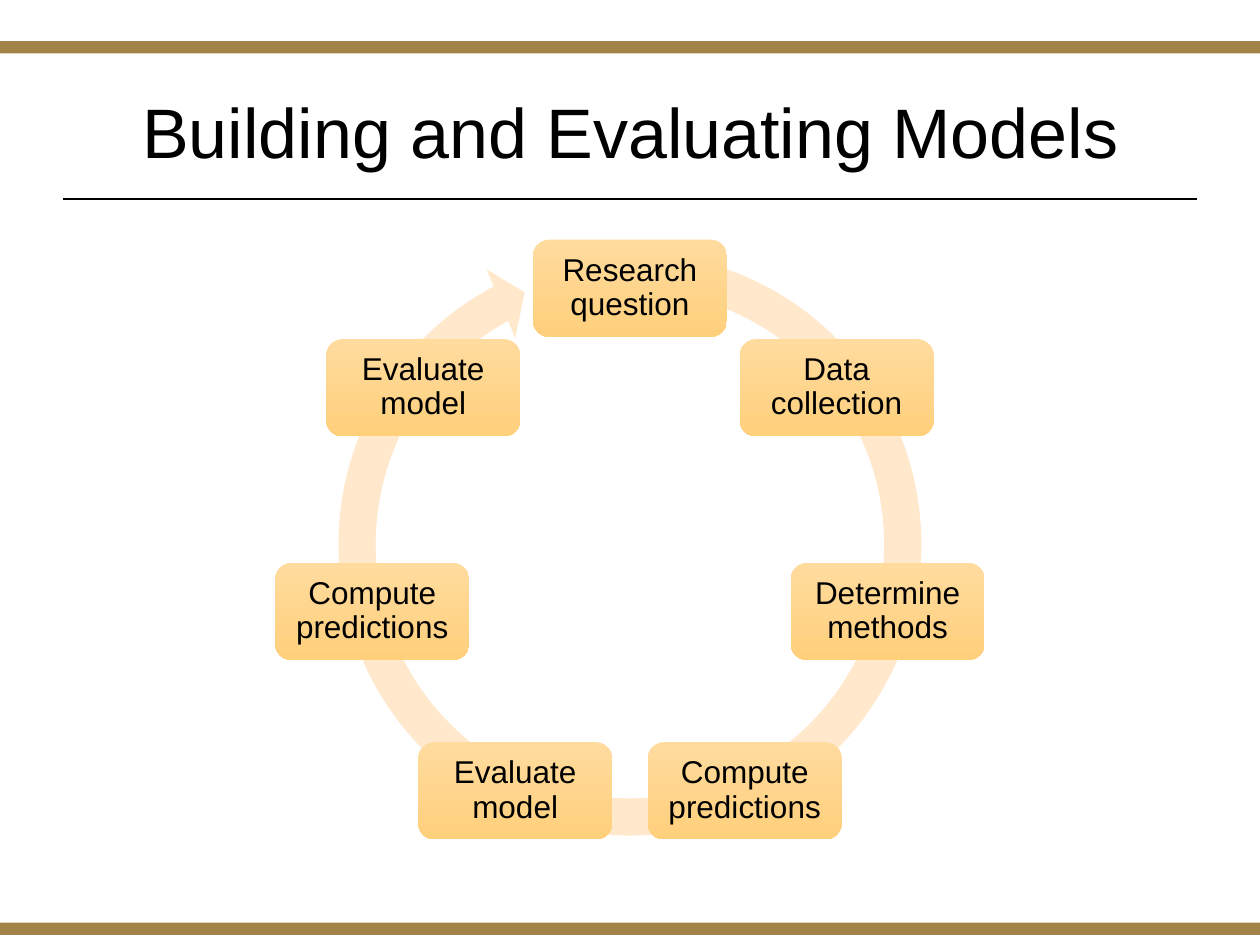
import math
from pptx import Presentation
from pptx import util as u
from pptx.dml.color import RGBColor
from pptx.enum import shapes, text
from pptx.oxml.ns import qn
from lxml import etree

WIDTH, HEIGHT = 25.4, 19.05
CENTER_X, CENTER_Y, RADIUS = 12.7, 11.14, 5.33
STEP_WIDTH, STEP_HEIGHT = 3.91, 1.96
STEPS = [
    "Research question",
    "Data collection",
    "Determine methods",
    "Compute predictions",
    "Evaluate model",
    "Compute predictions",
    "Evaluate model",
]


def color(value):
    return RGBColor.from_string(value)


class SlideBuilder:
    font = "Arial"
    ink = "000000"
    gold = "A28448"
    ring = "FFE8CC"
    step_colors = ("FFDB9E", "FFD07C")

    def __init__(self, page):
        self.page = page

    def shape(self, kind, left, top, width, height):
        box = self.page.shapes.add_shape(
            kind, u.Cm(left), u.Cm(top), u.Cm(width), u.Cm(height))
        box.shadow.inherit = False
        box.line.fill.background()
        return box

    def fill(self, box, value):
        box.fill.solid()
        box.fill.fore_color.rgb = color(value)

    def label(self, box, words, size, inset, space_after=0):
        frame = box.text_frame
        frame.word_wrap = True
        frame.vertical_anchor = text.MSO_ANCHOR.MIDDLE
        frame.margin_left = frame.margin_right = u.Cm(inset)
        frame.margin_top = frame.margin_bottom = u.Cm(inset)
        para = frame.paragraphs[0]
        para.text = words
        para.alignment = text.PP_ALIGN.CENTER
        para.line_spacing = 0.9
        para.space_after = u.Pt(space_after)
        para.font.name = self.font
        para.font.size = u.Pt(size)
        para.font.color.rgb = color(self.ink)

    def bar(self, top):
        box = self.shape(shapes.MSO_SHAPE.RECTANGLE, 0, top, WIDTH, 0.25)
        self.fill(box, self.gold)

    def rule(self, left, right, top):
        line = self.page.shapes.add_connector(
            shapes.MSO_CONNECTOR.STRAIGHT,
            u.Cm(left), u.Cm(top), u.Cm(right), u.Cm(top))
        line.line.color.rgb = color(self.ink)
        line.line.width = u.Pt(1.25)
        etree.SubElement(line._element.spPr, qn("a:effectLst"))

    def title(self, words):
        box = self.page.shapes.add_textbox(
            u.Cm(1.75), u.Cm(0.89), u.Cm(21.9), u.Cm(3.68))
        self.label(box, words, 40, 0.2)

    def cycle_arrow(self):
        size = 12.5
        arrow = self.shape(
            shapes.MSO_SHAPE.CIRCULAR_ARROW,
            CENTER_X - size / 2, 4.72, size, size)
        for index, value in enumerate((0.06, 3.31, 145.07, 169.56, 0.06)):
            arrow.adjustments[index] = value
        self.fill(arrow, self.ring)

    def step(self, words, center_x, center_y):
        box = self.shape(
            shapes.MSO_SHAPE.ROUNDED_RECTANGLE,
            center_x - STEP_WIDTH / 2, center_y - STEP_HEIGHT / 2,
            STEP_WIDTH, STEP_HEIGHT)
        box.fill.gradient()
        box.fill.gradient_angle = 270
        for stop, value in zip(box.fill.gradient_stops, self.step_colors):
            stop.color.rgb = color(value)
        self.label(box, words, 18, 0.18, 6.3)


def main():
    deck = Presentation()
    deck.slide_width = u.Cm(WIDTH)
    deck.slide_height = u.Cm(HEIGHT)
    builder = SlideBuilder(deck.slides.add_slide(deck.slide_layouts[6]))

    for top in (18.6, 0.83):
        builder.bar(top)
    builder.rule(1.27, 24.13, 4.01)
    builder.title("Building and Evaluating Models")
    builder.cycle_arrow()
    for index, words in enumerate(STEPS):
        angle = 2 * math.pi * index / len(STEPS)
        builder.step(words,
                     CENTER_X + RADIUS * math.sin(angle),
                     CENTER_Y - RADIUS * math.cos(angle))

    deck.save("out.pptx")


if __name__ == "__main__":
    main()
